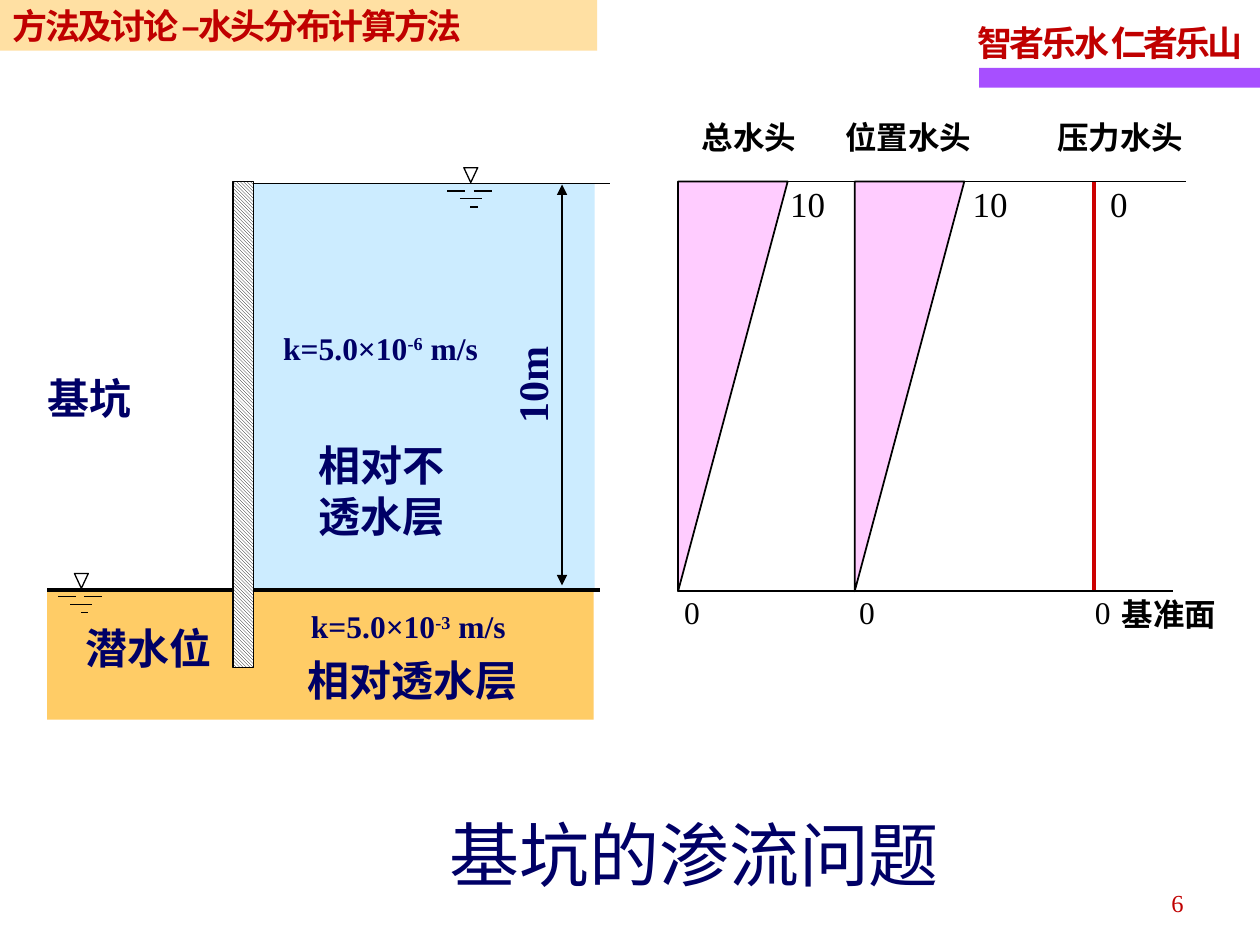
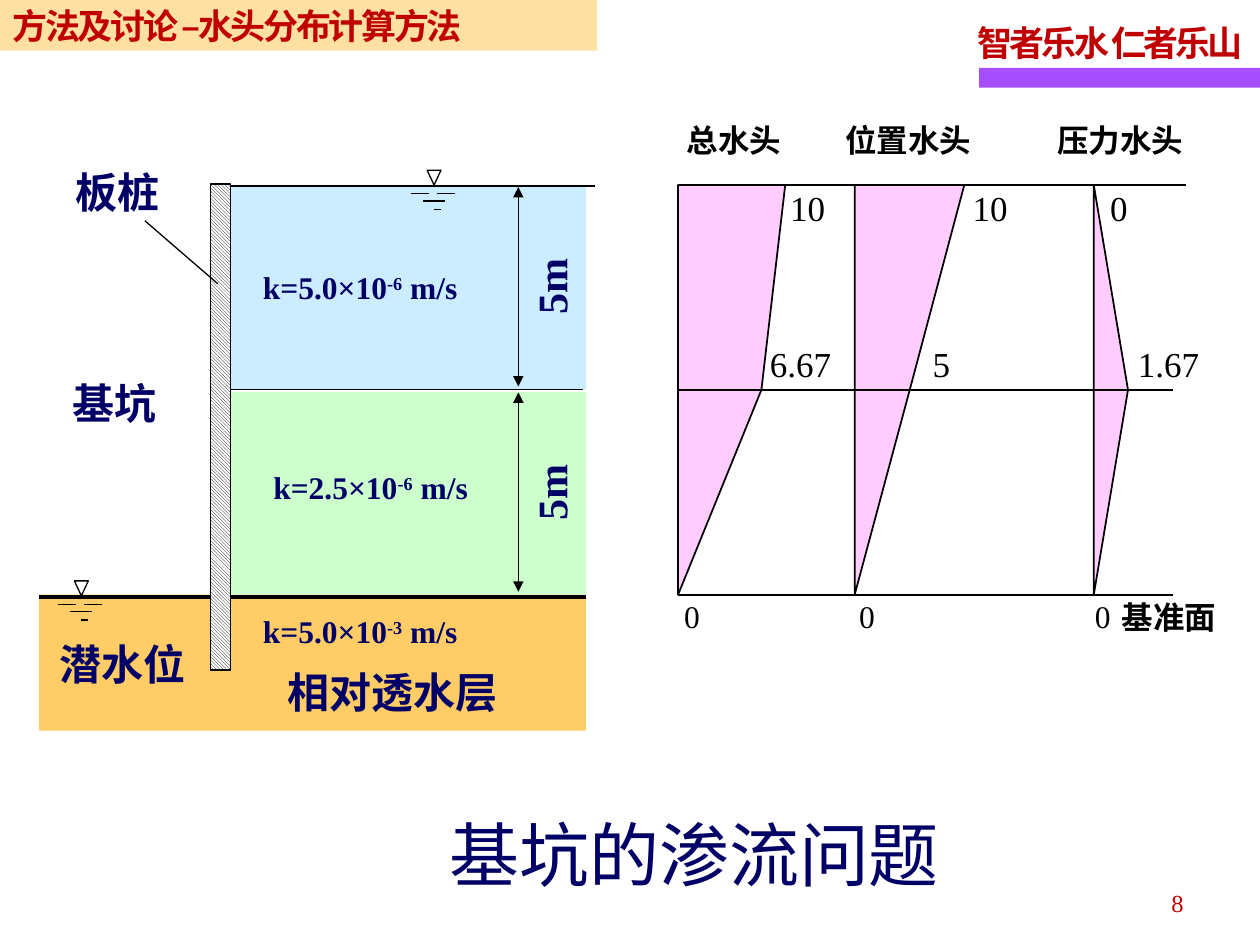
from lxml.etree import SubElement
from pptx import Presentation
from pptx.dml.color import RGBColor
from pptx.enum.dml import MSO_PATTERN
from pptx.enum.shapes import MSO_CONNECTOR, MSO_SHAPE
from pptx.enum.text import MSO_ANCHOR, MSO_AUTO_SIZE, PP_ALIGN
from pptx.oxml.ns import qn
from pptx.util import Cm, Pt

COLORS = {
    "ink": "000000", "paper": "FFFFFF", "navy": "000066", "red": "C00000",
    "axis_red": "CC0000", "purple": "A74FFF", "sand": "FFCC66",
    "clay": "CCECFF", "silt": "CCFFCC", "head": "FFCCFF",
}
LATIN, CJK = "Times New Roman", "Noto Sans CJK SC"
TITLE_ONLY = 5


def rgb(name):
    return RGBColor.from_string(COLORS[name])


# ---- shared drawing helpers (all lengths in cm) ----
def style_text(paragraph, size, color, bold=False, font=LATIN, spacing=None):
    paragraph.font.name = font
    paragraph.font.size = Pt(size)
    paragraph.font.bold = bold
    paragraph.font.color.rgb = rgb(color)
    if spacing:
        for run in paragraph.runs:
            run._r.get_or_add_rPr().set("spc", str(spacing))


def text_width(line, size):
    narrow = {".": 0.25, "m": 0.83}
    ems = sum(1 if c > "⺀" else narrow.get(c, 0.5) for c in line)
    return ems * size * 2.54 / 72 + 0.51


def add_label(shapes, text, x, y, size=24, color="navy", bold=True,
              width=None, turned_about=None):
    lines = text.split("\n")
    width = width or max(text_width(line, size) for line in lines)
    height = len(lines) * size * 1.2 * 2.54 / 72 + 0.25
    if turned_about:
        x, y = turned_about[0] - width / 2, turned_about[1] - height / 2
    label = shapes.add_textbox(Cm(x), Cm(y), Cm(width), Cm(height))
    label.rotation = 270 if turned_about else 0
    label.text_frame.word_wrap = False
    label.text_frame.text = text
    for paragraph in label.text_frame.paragraphs:
        style_text(paragraph, size, color, bold)
    return label


def add_rect(shapes, x, y, width, height, color):
    rect = shapes.add_shape(MSO_SHAPE.RECTANGLE, Cm(x), Cm(y), Cm(width), Cm(height))
    rect.shadow.inherit = False
    rect.fill.solid()
    rect.fill.fore_color.rgb = rgb(color)
    rect.line.fill.background()
    return rect


def add_line(shapes, x1, y1, x2, y2, weight=0.75, color="ink", arrows=False):
    line = shapes.add_connector(MSO_CONNECTOR.STRAIGHT, Cm(x1), Cm(y1), Cm(x2), Cm(y2))
    line.line.width = Pt(weight)
    line.line.color.rgb = rgb(color)
    if arrows:
        outline = line.line._get_or_add_ln()
        for end in ("a:headEnd", "a:tailEnd"):
            SubElement(outline, qn(end), type="triangle")
    SubElement(line._element.spPr, qn("a:effectLst"))
    return line


# ---- slide frame ----
def add_motto(slide, layout):
    """Put the motto and its bar on the layout, behind every slide."""
    bar = add_rect(slide.shapes, 19.74, 1.37, 5.66, 0.4, "purple")
    motto = add_label(slide.shapes, "智者乐水 仁者乐山", 19.46, 0.18, 20, "red", width=5.99)
    paragraph = motto.text_frame.paragraphs[0]
    paragraph.line_spacing = 1.15
    style_text(paragraph, 20, "red", True, spacing=-170)
    for shape in (bar, motto):
        layout.shapes._spTree.append(shape._element)


def add_frame(slide, page):
    # Title band
    title = slide.shapes.title
    title.left, title.top, title.width, title.height = Cm(0), Cm(0), Cm(12.04), Cm(1.02)
    title.fill.solid()
    title.fill.fore_color.rgb = rgb("sand")
    tint = title._element.spPr.find(qn("a:solidFill"))[0]
    SubElement(tint, qn("a:alpha"), val="60000")
    frame = title.text_frame
    frame.text = "方法及讨论 –水头分布计算方法"
    frame.auto_size = MSO_AUTO_SIZE.NONE
    frame.vertical_anchor = MSO_ANCHOR.MIDDLE
    frame.paragraphs[0].alignment = PP_ALIGN.LEFT
    style_text(frame.paragraphs[0], 20, "red", True, CJK, -140)
    # Caption and page number
    add_label(slide.shapes, "基坑的渗流问题", 8.81, 16.23, 40, bold=False)
    number = add_label(slide.shapes, str(page), 18.19, 17.68, 14, "red", False, 5.92)
    number.text_frame.word_wrap = True
    number.text_frame.paragraphs[0].alignment = PP_ALIGN.RIGHT
    number.text_frame.paragraphs[0].line_spacing = 1.15


# ---- soil section ----
def add_water_mark(slide, x, y):
    mark = slide.shapes.add_group_shape().shapes
    triangle = mark.add_shape(MSO_SHAPE.ISOSCELES_TRIANGLE, Cm(x), Cm(y), Cm(0.28), Cm(0.3))
    triangle.rotation = 180
    triangle.shadow.inherit = False
    triangle.fill.background()
    triangle.line.color.rgb = rgb("ink")
    triangle.line.width = Pt(0.75)
    for start, end, drop in ((-0.33, 0.03, 0.47), (0.2, 0.56, 0.47),
                             (-0.08, 0.36, 0.62), (0.13, 0.28, 0.79)):
        add_line(mark, x + start, y + drop, x + end, y + drop)


def add_conductivity(shapes, value, exponent, x, y):
    label = add_label(shapes, f"k={value}×10", x, y, 18, width=4.7)
    paragraph = label.text_frame.paragraphs[0]
    power = paragraph.add_run()
    power.text = exponent
    power._r.get_or_add_rPr().set("baseline", "30000")
    paragraph.add_run().text = " m/s"


def add_soil_section(slide, left, top, section):
    """Draw the pit wall and soil layers; left, top is the wall's corner."""
    shapes = slide.shapes
    depth, right = section["depth"], section["right"]
    base_left = section["base_left"]
    thickness = depth / len(section["layers"])

    # Layers and their boundaries
    add_rect(shapes, left + base_left, top + depth, 11.02, section["base_height"], "sand")
    for i, layer in enumerate(section["layers"]):
        roof = top + i * thickness
        add_rect(shapes, left + 0.25, roof + 0.05, right - 0.25, thickness - 0.05, layer)
        if i:
            add_line(shapes, left + 0.33, roof, left + right - 0.05, roof)
    add_line(shapes, left + base_left, top + depth + 0.04,
             left + section["base_line_end"], top + depth + 0.04, 2.25)
    add_line(shapes, left + 0.41, top + 0.04, left + section["surface_end"], top + 0.04)

    # Sheet pile wall
    wall = add_rect(shapes, left, top, 0.41, 9.8, "paper")
    wall.fill.patterned()
    wall.fill.pattern = MSO_PATTERN.LIGHT_DOWNWARD_DIAGONAL
    wall.fill.fore_color.rgb = rgb("ink")
    wall.fill.back_color.rgb = rgb("paper")
    wall.line.color.rgb = rgb("ink")
    wall.line.width = Pt(0.75)

    # Thickness arrows
    arrow_x = left + section["arrow_x"]
    for i in range(len(section["layers"])):
        roof = top + i * thickness
        add_line(shapes, arrow_x, roof + 0.06, arrow_x, roof + thickness - 0.06, arrows=True)
        add_label(shapes, section["thickness"], 0, 0,
                  turned_about=(arrow_x + section["thickness_dx"], roof + thickness / 2))

    # Water levels, names and conductivities
    for x, y in section["water_marks"]:
        add_water_mark(slide, left + x, top + y)
    for name, x, y in section["names"]:
        add_label(shapes, name, left + x, top + y)
    for value, exponent, x, y in section["conductivities"]:
        add_conductivity(shapes, value, exponent, left + x, top + y)
    for x1, y1, x2, y2 in section["leaders"]:
        add_line(shapes, left + x1, top + y1, left + x2, top + y2)


# ---- head diagrams ----
def add_head_profile(slide, x, y, depth, points):
    """points: (offset, value, label dx) from the surface to the datum."""
    step = depth / (len(points) - 1)
    offsets = [offset for offset, _, _ in points]
    if any(offsets):
        outline = slide.shapes.build_freeform(Cm(x), Cm(y), scale=1.0)
        corners = [(Cm(x + dx), Cm(y + i * step)) for i, dx in enumerate(offsets)]
        outline.add_line_segments(corners, close=True)
        area = outline.convert_to_shape()
        area.shadow.inherit = False
        area.fill.solid()
        area.fill.fore_color.rgb = rgb("head")
        area.line.color.rgb = rgb("ink")
        area.line.width = Pt(1)
    else:
        add_line(slide.shapes, x, y, x, y + depth, 2.25, "axis_red")


def add_head_diagrams(slide, left, top, profiles):
    shapes = slide.shapes
    depth = 8.26
    rows = len(profiles[0][3])
    step = depth / (rows - 1)
    for _, _, axis, points in profiles:
        add_head_profile(slide, left + axis, top, depth, points)
    for row in range(rows):
        y = top + row * step
        add_line(shapes, left, y, left + (9.97 if row else 10.24), y, 1)
    for name, name_x, axis, points in profiles:
        add_label(shapes, name, left + name_x, top - 1.41, 18, "ink")
        for row, (_, value, dx) in enumerate(points):
            on_datum = row == rows - 1
            rise = 0.08 if on_datum else 1.08 if row else 0.1
            add_label(shapes, value, left + axis + dx, top + row * step - rise,
                      18 if on_datum else 20, "ink", False)
    add_label(shapes, "基准面", left + 8.69, top + 8.21, 18, "ink")


# ---- content ----
ONE_LAYER = {
    "depth": 8.2, "right": 7.29, "layers": ["clay"], "base_left": -3.75,
    "base_height": 2.65, "base_line_end": 7.39, "surface_end": 7.59,
    "arrow_x": 6.63, "thickness": "10m", "thickness_dx": -0.62,
    "water_marks": [(4.65, -0.28), (-3.2, 7.9)],
    "names": [("基坑", -3.99, 3.73), ("相对不\n透水层", 1.47, 5.08),
              ("潜水位", -3.23, 8.76), ("相对透水层", 1.24, 9.4)],
    "conductivities": [("5.0", "-6", 0.76, 2.84), ("5.0", "-3", 1.32, 8.46)],
    "leaders": [],
}
TWO_LAYERS = {
    "depth": 8.28, "right": 7.57, "layers": ["clay", "silt"], "base_left": -3.45,
    "base_height": 2.74, "base_line_end": 7.57, "surface_end": 7.75,
    "arrow_x": 6.21, "thickness": "5m", "thickness_dx": 0.65,
    "water_marks": [(4.37, -0.28), (-2.74, 8)],
    "names": [("板桩", -2.97, -0.48), ("基坑", -3.02, 3.78),
              ("潜水位", -3.28, 9.04), ("相对透水层", 1.3, 9.6)],
    "conductivities": [("5.0", "-6", 0.81, 1.57), ("2.5", "-6", 1.02, 5.61),
                       ("5.0", "-3", 0.81, 8.51)],
    "leaders": [(-1.32, 0.74, 0.15, 2.01)],
}
# Each profile: name, name x, axis x, points
ONE_LAYER_HEADS = [
    ("总水头", 0.23, 0, [(2.21, "10", 2.01), (0, "0", -0.13)]),
    ("位置水头", 3.12, 3.56, [(2.21, "10", 2.13), (0, "0", -0.16)]),
    ("压力水头", 7.39, 8.38, [(0, "0", 0.08), (0, "0", -0.23)]),
]
TWO_LAYER_HEADS = [
    ("总水头", -0.08, 0, [(2.16, "10", 2.01), (1.68, "6.67", 1.6), (0, "0", -0.13)]),
    ("位置水头", 3.12, 3.56, [(2.21, "10", 2.13), (1.11, "5", 1.32), (0, "0", -0.16)]),
    ("压力水头", 7.39, 8.38, [(0, "0", 0.08), (0.69, "1.67", 0.64), (0, "0", -0.23)]),
]
PAGES = [
    (6, (4.7, 3.66), ONE_LAYER, (13.67, 3.66), ONE_LAYER_HEADS),
    (8, (4.24, 3.71), TWO_LAYERS, (13.67, 3.73), TWO_LAYER_HEADS),
]


def main():
    prs = Presentation()
    prs.slide_width, prs.slide_height = Cm(25.4), Cm(19.05)
    layout = prs.slide_layouts[TITLE_ONLY]
    for i, (page, wall, section, heads_at, heads) in enumerate(PAGES):
        slide = prs.slides.add_slide(layout)
        if i == 0:
            add_motto(slide, layout)
        add_frame(slide, page)
        add_soil_section(slide, *wall, section)
        add_head_diagrams(slide, *heads_at, heads)
    prs.save("out.pptx")


if __name__ == "__main__":
    main()
